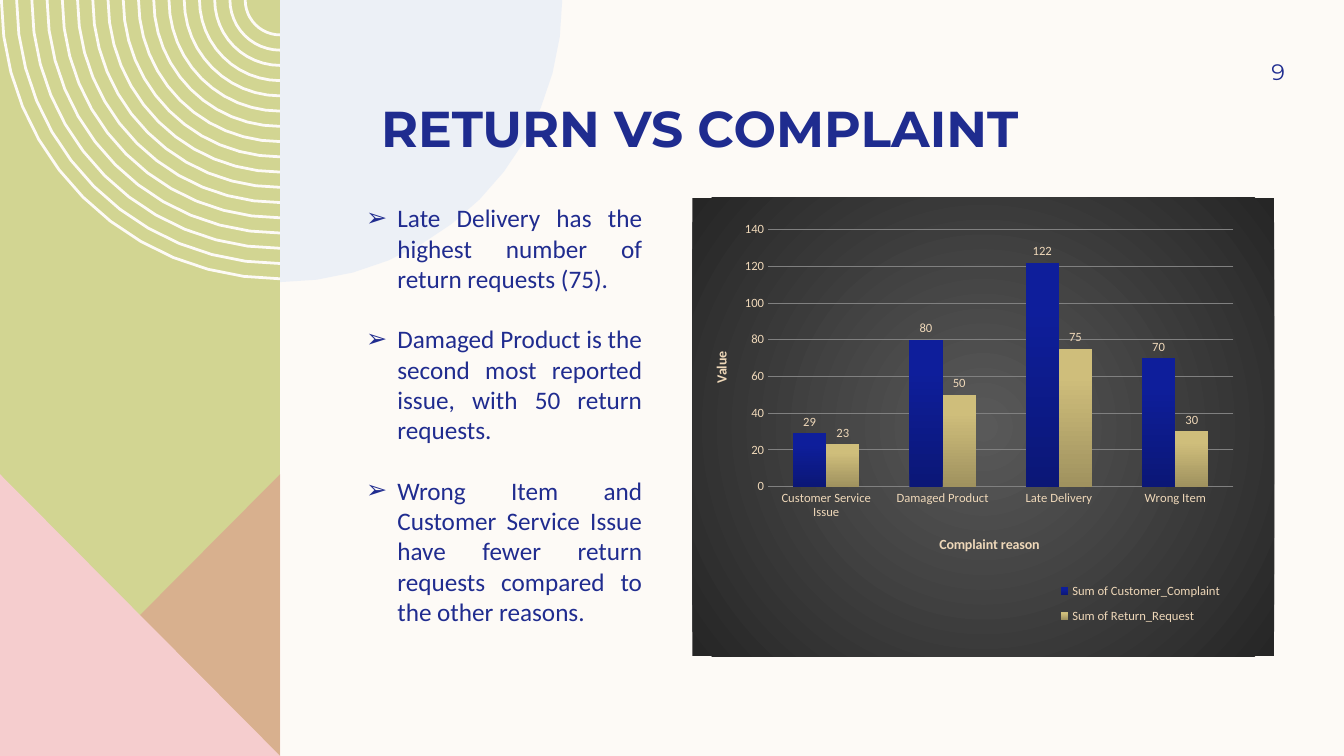
import math

from lxml import etree
from pptx import Presentation
from pptx import util as u
from pptx.chart.data import CategoryChartData
from pptx.dml.color import RGBColor
from pptx.enum import chart as charts
from pptx.enum import text as texts
from pptx.oxml import parse_xml
from pptx.oxml.ns import nsdecls, qn

CREAM, NAVY, SAND = "FDFAF6", "1F2C8F", "EFD8B9"
SLIDE_WIDTH, SLIDE_HEIGHT, PANEL_WIDTH = 33.87, 19.05, 7.06
RING_COUNT, RING_THICKNESS, INNER_RING = 17, 0.07, 0.88

CATEGORIES = ["Customer Service Issue", "Damaged Product", "Late Delivery", "Wrong Item"]
SERIES = [
    ("Sum of Customer_Complaint", (29, 80, 122, 70), ("0B1777", "0E1E9B")),
    ("Sum of Return_Request", (23, 50, 75, 30), ("A0925F", "CFBE7B")),
]
FINDINGS = [
    "Late Delivery has the highest number of return requests (75).",
    "Damaged Product is the second most reported issue, with 50 return requests.",
    "Wrong Item and Customer Service Issue have fewer return requests compared to the other reasons.",
]


def color(hex_string):
    return RGBColor.from_string(hex_string)


def style_font(font, size, hex_string, name="Calibri", bold=False):
    font.size, font.name, font.bold = u.Pt(size), name, bold
    font.color.rgb = color(hex_string)


def write_text(paragraph, text, align=texts.PP_ALIGN.LEFT, after=0, **font_format):
    run = paragraph.add_run()
    run.text = text
    style_font(run.font, **font_format)
    paragraph.alignment = align
    paragraph.line_spacing = 1.0
    paragraph.space_before, paragraph.space_after = u.Pt(0), u.Pt(after)


def place(shape, left, top, width, height):
    shape.left, shape.top = u.Cm(left), u.Cm(top)
    shape.width, shape.height = u.Cm(width), u.Cm(height)


def quarter_arc(center_x, radius, start):
    """Points of a 90 degree arc around a center on the top edge, from start degrees."""
    angles = [math.radians(start + step * 7.5) for step in range(13)]
    return [(center_x + radius * math.cos(a), radius * math.sin(a)) for a in angles]


def draw_outline(slide, contours, closed=True):
    """Draw contours, given in centimetres, as one shape without a shadow."""
    contours = [[(u.Cm(x), u.Cm(y)) for x, y in contour] for contour in contours]
    builder = slide.shapes.build_freeform(*contours[0][0])
    for index, contour in enumerate(contours):
        if index:
            builder.move_to(*contour[0])
        builder.add_line_segments(contour[1:], close=closed)
    shape = builder.convert_to_shape()
    shape.shadow.inherit = False
    return shape


def draw_area(slide, points, fill, opacity=100):
    shape = draw_outline(slide, [points])
    shape.line.fill.background()
    shape.fill.solid()
    shape.fill.fore_color.rgb = color(fill)
    if opacity < 100:
        solid = shape.element.spPr.find(qn("a:solidFill"))
        etree.SubElement(solid[0], qn("a:alpha"), val=str(opacity * 1000))


def draw_rings(slide, center_x, outer_radius):
    step = (outer_radius - INNER_RING) / (RING_COUNT - 1)
    arcs = [quarter_arc(center_x, outer_radius - index * step, 90)
            for index in range(RING_COUNT)]
    rings = draw_outline(slide, arcs, closed=False)
    rings.fill.background()
    rings.line.color.rgb, rings.line.width = color(CREAM), u.Cm(RING_THICKNESS)


def draw_decoration(slide, width, height):
    """Side panel with rings and triangles, and the pale quarter circle beside it."""
    top = height - width - 0.04
    bottom_left, bottom_right = (0, height), (width, height)
    draw_area(slide, [(0, 0), (width, 0), bottom_right, bottom_left], "D2D592")
    draw_rings(slide, width, width - RING_THICKNESS / 2)
    draw_area(slide, [(width, top), bottom_right, bottom_left], "DE8C8C", 50)
    draw_area(slide, [(0, top), bottom_right, bottom_left], "F5CDCE")
    draw_area(slide, [(width, 0)] + quarter_arc(width, 7.11, 0), "DDE7F6", 50)


def fill_title(slide, *box):
    title = slide.shapes.title
    place(title, *box)
    slide.shapes.element.append(title.element)
    frame = title.text_frame
    frame.auto_size = texts.MSO_AUTO_SIZE.NONE
    frame.vertical_anchor = texts.MSO_ANCHOR.BOTTOM
    frame.margin_top = frame.margin_bottom = 0
    write_text(frame.paragraphs[0], "RETURN VS COMPLAINT",
               size=36, hex_string=NAVY, name="Montserrat", bold=True)


def add_page_number(slide, *box):
    number = slide.shapes.add_textbox(*map(u.Cm, box))
    frame = number.text_frame
    frame.word_wrap = True
    frame.vertical_anchor = texts.MSO_ANCHOR.MIDDLE
    frame.margin_right = 0
    write_text(frame.paragraphs[0], "9", align=texts.PP_ALIGN.RIGHT, after=6,
               size=16, hex_string=NAVY, name="Montserrat")


def fill_findings(slide, *box):
    body = slide.placeholders[1]
    place(body, *box)
    slide.shapes.element.append(body.element)
    frame = body.text_frame
    frame.auto_size = texts.MSO_AUTO_SIZE.NONE
    for index, finding in enumerate(FINDINGS):
        paragraph = frame.add_paragraph() if index else frame.paragraphs[0]
        last = index == len(FINDINGS) - 1
        write_text(paragraph, finding, align=texts.PP_ALIGN.JUSTIFY,
                   after=0 if last else 21.7, size=18, hex_string="202C8F")
        properties = paragraph._p.get_or_add_pPr()
        properties.set("marL", str(u.Cm(0.79)))
        properties.set("indent", str(u.Cm(-0.79)))
        etree.SubElement(properties, qn("a:buChar"), char="➢")


def set_layout(element, index, inner=False, **fractions):
    """Give a chart part a manual place, in fractions of the chart."""
    for old in element.findall(qn("c:layout")):
        element.remove(old)
    layout = etree.Element(qn("c:layout"))
    manual = etree.SubElement(layout, qn("c:manualLayout"))
    if inner:
        etree.SubElement(manual, qn("c:layoutTarget"), val="inner")
    for mode in ("xMode", "yMode"):
        etree.SubElement(manual, qn("c:" + mode), val="edge")
    for key, value in fractions.items():
        etree.SubElement(manual, qn("c:" + key), val=str(value))
    element.insert(index, layout)


def fill_chart_background(chart, center, edge):
    chart.element.xpath("c:chart")[0].addnext(parse_xml(
        f'<c:spPr {nsdecls("c", "a")}><a:gradFill><a:gsLst>'
        f'<a:gs pos="0"><a:srgbClr val="{center}"/></a:gs>'
        f'<a:gs pos="100000"><a:srgbClr val="{edge}"/></a:gs></a:gsLst>'
        '<a:path path="circle"><a:fillToRect l="50000" t="50000" r="50000" b="50000"/>'
        '</a:path></a:gradFill><a:ln><a:noFill/></a:ln></c:spPr>'))


def format_axis(axis, title):
    axis.major_tick_mark = axis.minor_tick_mark = charts.XL_TICK_MARK.NONE
    axis.format.line.fill.background()
    style_font(axis.tick_labels.font, 9, SAND)
    write_text(axis.axis_title.text_frame.paragraphs[0], title,
               align=texts.PP_ALIGN.CENTER, size=10, hex_string=SAND, bold=True)


def format_series(series, dark, light):
    fill = series.format.fill
    fill.gradient()
    fill.gradient_angle = 90
    for stop, shade, position in zip(fill.gradient_stops, (dark, light), (0, 0.8)):
        stop.color.rgb, stop.position = color(shade), position
    labels = series.data_labels
    labels.show_value = True
    labels.position = charts.XL_LABEL_POSITION.OUTSIDE_END
    style_font(labels.font, 9, SAND)


def add_complaint_chart(slide, *box):
    data = CategoryChartData()
    data.categories = CATEGORIES
    for name, values, _ in SERIES:
        data.add_series(name, values)
    chart = slide.shapes.add_chart(
        charts.XL_CHART_TYPE.COLUMN_CLUSTERED, *map(u.Cm, box), data).chart
    chart.has_title = False
    style_font(chart.font, 10, "000000")
    fill_chart_background(chart, "595959", "262626")

    plot = chart.plots[0]
    plot.vary_by_categories, plot.gap_width, plot.overlap = False, 150, 0
    for series, (_, _, shades) in zip(plot.series, SERIES):
        format_series(series, *shades)

    format_axis(chart.category_axis, "Complaint reason")
    values = chart.value_axis
    format_axis(values, "Value")
    values.minimum_scale, values.maximum_scale, values.major_unit = 0, 140, 20
    gridline = values.major_gridlines.format.line
    gridline.color.rgb, gridline.width = color("808080"), u.Pt(0.75)

    chart.has_legend = True
    chart.legend.position = charts.XL_LEGEND_POSITION.RIGHT
    chart.legend.include_in_layout = False
    style_font(chart.legend.font, 9, SAND)

    chart.element.xpath(".//c:valAx/c:title//a:bodyPr")[0].set("rot", "-5400000")
    for query, index, fractions in [
        ("plotArea", 0, dict(inner=True, x=0.13, y=0.07, w=0.8, h=0.56)),
        ("catAx/c:title", 1, dict(x=0.42, y=0.73)),
        ("valAx/c:title", 1, dict(x=0.03, y=0.33)),
        ("legend", 1, dict(x=0.61, y=0.82, w=0.32, h=0.13)),
    ]:
        set_layout(chart.element.xpath(".//c:" + query)[0], index, **fractions)


def main():
    presentation = Presentation()
    presentation.slide_width, presentation.slide_height = u.Cm(SLIDE_WIDTH), u.Cm(SLIDE_HEIGHT)
    slide = presentation.slides.add_slide(presentation.slide_layouts[1])
    slide.background.fill.solid()
    slide.background.fill.fore_color.rgb = color(CREAM)
    draw_decoration(slide, PANEL_WIDTH, SLIDE_HEIGHT)
    fill_title(slide, 9.35, 1.9, 22.12, 2.06)
    add_page_number(slide, 29.41, 1.14, 2.97, 1.32)
    add_complaint_chart(slide, 17.45, 4.98, 14.66, 11.56)
    fill_findings(slide, 8.97, 4.98, 7.47, 11.02)
    presentation.save("out.pptx")


if __name__ == "__main__":
    main()
